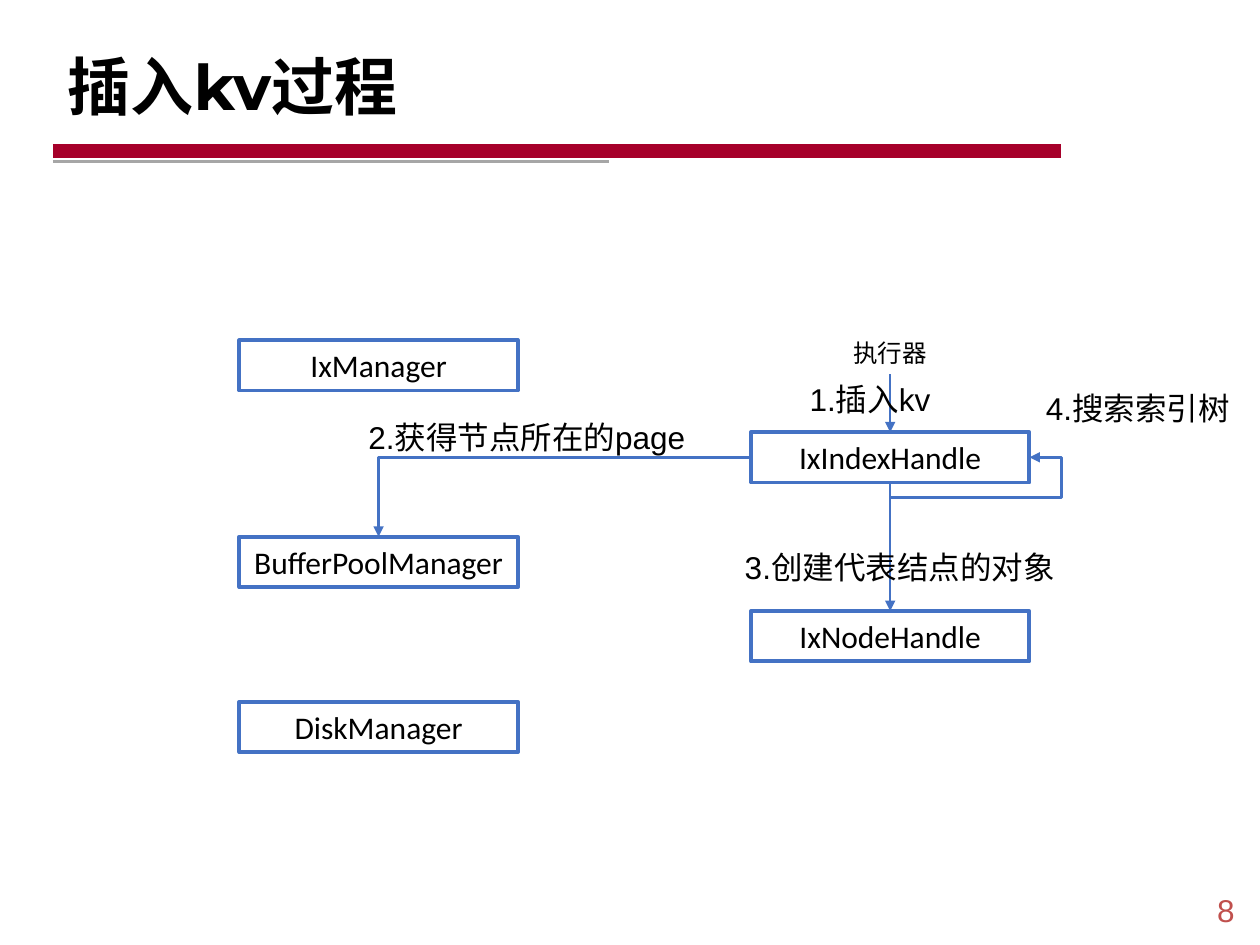
from lxml import etree
from pptx import Presentation
from pptx import util as u
from pptx.dml.color import RGBColor
from pptx.enum import shapes, text
from pptx.oxml.ns import qn

BLUE, BLACK, WHITE = "4472C4", "000000", "FFFFFF"
NODE_SIZE = (2.21, 0.4)
LEFT_X, RIGHT_X = 1.9, 5.96
NODES = {
    "IxManager": (LEFT_X, 2.7),
    "BufferPoolManager": (LEFT_X, 4.26),
    "DiskManager": (LEFT_X, 5.57),
    "IxIndexHandle": (RIGHT_X, 3.43),
    "IxNodeHandle": (RIGHT_X, 4.85),
}
STEPS = {
    "1.插入kv": (5.47, 2.99, 2.87, 0.35),
    "2.获得节点所在的page": (2.57, 3.29, 3.22, 0.35),
    "3.创建代表结点的对象": (5.53, 4.32, 3.22, 0.35),
    "4.搜索索引树": (8.04, 2.81, 1.98, 0.86),
}


def color(value):
    """Turn a hex string into a colour."""
    return RGBColor.from_string(value)


def write(shape, content, color_hex=BLACK, align=text.PP_ALIGN.CENTER, **font):
    """Put one formatted line of text into a shape."""
    frame = shape.text_frame
    frame.word_wrap = True
    frame.vertical_anchor = text.MSO_ANCHOR.MIDDLE
    paragraph = frame.paragraphs[0]
    paragraph.text = content
    paragraph.alignment = align
    formats = {"name": "Arial", "size": u.Pt(18), "bold": False, **font}
    for name, value in formats.items():
        setattr(paragraph.font, name, value)
    paragraph.font.color.rgb = color(color_hex)


def add_label(slide, box, content, **formats):
    """Add a text box at the given box."""
    label = slide.shapes.add_textbox(*map(u.Inches, box))
    write(label, content, **formats)
    return label


def add_node(slide, box, name):
    """Add an outlined rectangle for one component."""
    node = slide.shapes.add_shape(shapes.MSO_SHAPE.RECTANGLE, *map(u.Inches, box))
    node.shadow.inherit = False
    node.fill.solid()
    node.fill.fore_color.rgb = color(WHITE)
    node.line.color.rgb = color(BLUE)
    node.line.width = u.Pt(2.25)
    write(node, name, name="Calibri")
    return node


def add_line(slide, start, end, color_hex, width, kind=shapes.MSO_CONNECTOR.STRAIGHT):
    """Add a connector without a shadow."""
    line = slide.shapes.add_connector(kind, *map(u.Inches, start + end))
    line.line.color.rgb = color(color_hex)
    line.line.width = u.Pt(width)
    etree.SubElement(line._element.spPr, qn("a:effectLst"))
    return line


def add_arrow(slide, start, end, kind=shapes.MSO_CONNECTOR.STRAIGHT):
    """Add a blue connector with a triangle at its end."""
    arrow = add_line(slide, start, end, BLUE, 1.5, kind)
    etree.SubElement(arrow.line._get_or_add_ln(), qn("a:tailEnd"), type="triangle")
    return arrow


def add_elbow(slide, start, end, preset, bend=None):
    """Add a bent arrow, with its bend as a share of the width."""
    arrow = add_arrow(slide, start, end, shapes.MSO_CONNECTOR.ELBOW)
    geometry = arrow._element.spPr.find(qn("a:prstGeom"))
    geometry.set("prst", preset)
    if bend is not None:
        guides = geometry.find(qn("a:avLst"))
        formula = f"val {round(bend * 100000)}"
        etree.SubElement(guides, qn("a:gd"), name="adj1", fmla=formula)


def join_down(slide, upper, lower):
    """Join the bottom of one shape to the top of another."""
    arrow = add_arrow(slide, (0, 0), (0, 0))
    arrow.begin_connect(upper, 2)
    arrow.end_connect(lower, 0)


def add_header(slide, box, title):
    """Add the title and the two rules below it."""
    left, top, width, height = box
    add_label(slide, box, title, align=text.PP_ALIGN.LEFT,
              name="Montserrat", size=u.Pt(36), bold=True)
    rule_x, rule_y = left - 0.02, top + height + 0.09
    add_line(slide, (rule_x, rule_y), (rule_x + 8, rule_y), "A6002A", 8)
    add_line(slide, (rule_x, rule_y + 0.08), (rule_x + 4.41, rule_y + 0.08), "A6A6A6", 1.8)


def add_diagram(slide, box):
    """Add the components, arrows and numbered steps within the box."""
    left, top = box[:2]

    def place(x, y, *size):
        return (left + x, top + y, *size)

    executor = add_label(slide, place(6.46, 2.63, 1.21, 0.34), "执行器", size=u.Pt(14))
    nodes = {name: add_node(slide, place(*corner, *NODE_SIZE), name)
             for name, corner in NODES.items()}
    index = nodes["IxIndexHandle"]
    join_down(slide, executor, index)
    join_down(slide, index, nodes["IxNodeHandle"])

    width, height = NODE_SIZE
    index_x, index_y = NODES["IxIndexHandle"]
    pool_x, pool_y = NODES["BufferPoolManager"]
    middle = index_y + height / 2
    add_elbow(slide, place(index_x, middle), place(pool_x + width / 2, pool_y),
              "bentConnector2")
    add_elbow(slide, place(index_x + width / 2, 3.95), place(index_x + width, middle),
              "bentConnector3", 1.23)
    for content, area in STEPS.items():
        add_label(slide, place(*area), content)


def main():
    """Build and save the slide."""
    presentation = Presentation()
    presentation.slide_width = u.Inches(10)
    presentation.slide_height = u.Inches(7.5)
    slide = presentation.slides.add_slide(presentation.slide_layouts[6])
    add_header(slide, (0.44, 0.25, 8.62, 0.86), "插入kv过程")
    add_diagram(slide, (0, 0, 10, 7.5))
    add_label(slide, (9.46, 7.02, 0.54, 0.4), "8", color_hex="C0504D")
    presentation.save("out.pptx")


if __name__ == "__main__":
    main()
